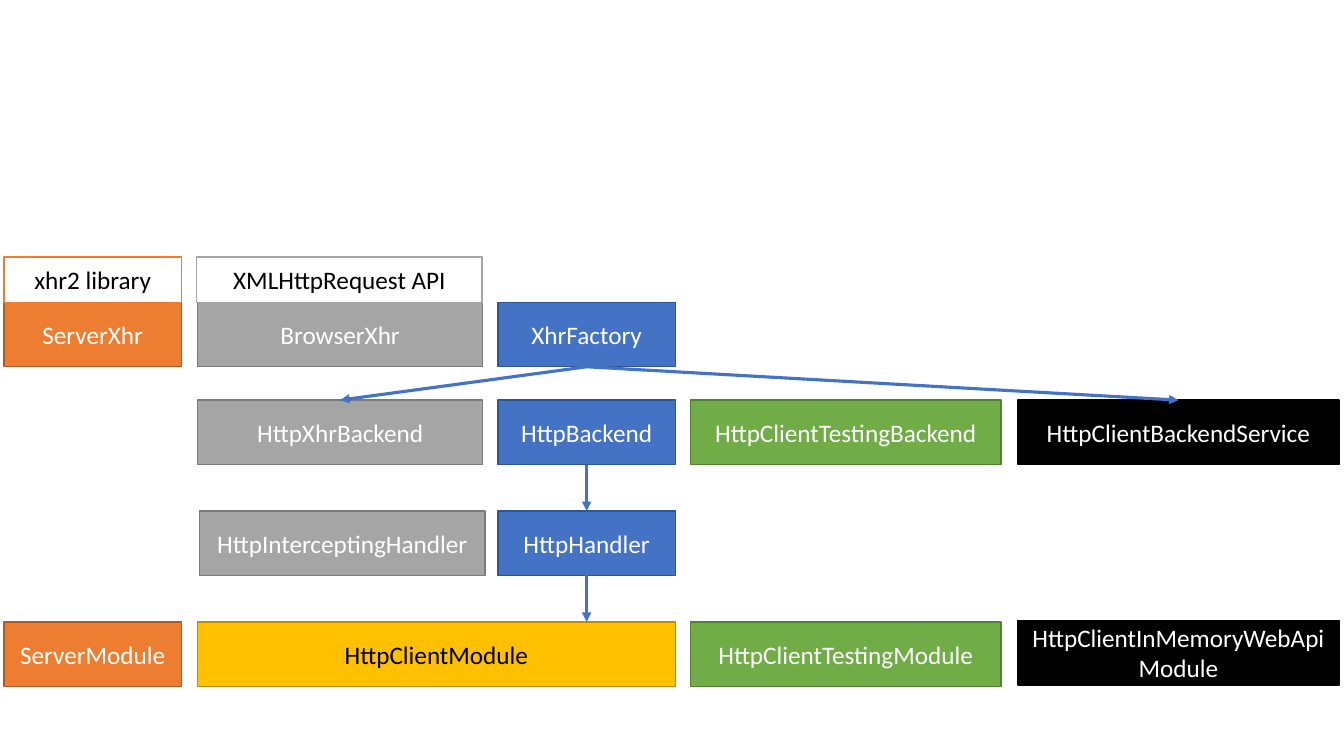
from dataclasses import dataclass

import lxml.etree
import pptx
import pptx.dml.color
import pptx.enum.shapes
import pptx.enum.text
import pptx.oxml.ns
import pptx.util

Pt = pptx.util.Pt
TOP, BOTTOM = 0, 2


@dataclass(frozen=True)
class Swatch:
    fill: str
    line: str
    text: str = "FFFFFF"


@dataclass(frozen=True)
class Theme:
    font: str = "Calibri"
    size: float = 18
    border: float = 1
    arrow: float = 2.25
    arrow_color: str = "4472C4"
    server: Swatch = Swatch("ED7D31", "AF5C24")
    server_library: Swatch = Swatch("FFFFFF", "ED7D31", "000000")
    browser: Swatch = Swatch("A5A5A5", "7A7A7A")
    browser_library: Swatch = Swatch("FFFFFF", "A5A5A5", "000000")
    core: Swatch = Swatch("4472C4", "325491")
    client: Swatch = Swatch("FFC000", "BD8E00", "000000")
    testing: Swatch = Swatch("70AD47", "538035")
    memory: Swatch = Swatch("000000", "000000")


THEME = Theme()

# Row name -> (top, height)
ROWS = {
    "library": (183.6, 32.4),
    "xhr": (216, 46),
    "backend": (285.8, 46),
    "handler": (365, 46),
    "module": (444.2, 46),
}


def rgb(color):
    return pptx.dml.color.RGBColor.from_string(color)


def write(frame, text, *, color, size=THEME.size, font=THEME.font):
    frame.word_wrap = True
    frame.vertical_anchor = pptx.enum.text.MSO_ANCHOR.MIDDLE
    paragraph = frame.paragraphs[0]
    paragraph.alignment = pptx.enum.text.PP_ALIGN.CENTER
    run = paragraph.add_run()
    run.text = text
    run.font.name = font
    run.font.size = Pt(size)
    run.font.color.rgb = rgb(color)


def add_block(slide, box, label, swatch):
    block = slide.shapes.add_shape(
        pptx.enum.shapes.MSO_SHAPE.RECTANGLE, *(Pt(length) for length in box))
    block.shadow.inherit = False
    block.fill.solid()
    block.fill.fore_color.rgb = rgb(swatch.fill)
    block.line.color.rgb = rgb(swatch.line)
    block.line.width = Pt(THEME.border)
    write(block.text_frame, label, color=swatch.text)
    return block


def add_column(slide, left, width, swatch, labels, library=None, shifts=None):
    """Stack one block per row; shifts maps a row to its (x, y) offset."""
    blocks = {}
    for row, label in labels.items():
        top, height = ROWS[row]
        dx, dy = (shifts or {}).get(row, (0, 0))
        blocks[row] = add_block(slide, (left + dx, top + dy, width, height), label,
                                library if row == "library" else swatch)
    return blocks


def add_arrow(slide, source, target=None, end=None):
    """Point from a block's bottom to a target's top, or to a free end."""
    x, y = end or (0, 0)
    arrow = slide.shapes.add_connector(
        pptx.enum.shapes.MSO_CONNECTOR.STRAIGHT, 0, 0, Pt(x), Pt(y))
    arrow.begin_connect(source, BOTTOM)
    if target is not None:
        arrow.end_connect(target, TOP)
    arrow.line.color.rgb = rgb(THEME.arrow_color)
    arrow.line.width = Pt(THEME.arrow)
    qn = pptx.oxml.ns.qn
    lxml.etree.SubElement(arrow.line._get_or_add_ln(), qn("a:tailEnd"), type="triangle")
    lxml.etree.SubElement(arrow._element.spPr, qn("a:effectLst"))


def add_http_architecture(slide):
    add_column(slide, 2.9, 126.7, THEME.server, {
        "xhr": "ServerXhr",
        "module": "ServerModule",
        "library": "xhr2 library",
    }, library=THEME.server_library)
    browser = add_column(slide, 141.1, 203.8, THEME.browser, {
        "xhr": "BrowserXhr",
        "backend": "HttpXhrBackend",
        "handler": "HttpInterceptingHandler",
        "library": "XMLHttpRequest API",
    }, library=THEME.browser_library, shifts={"handler": (1.5, 0), "library": (-0.5, 0)})
    core_left, core_width = 355.7, 126.7
    core = add_column(slide, core_left, core_width, THEME.core, {
        "xhr": "XhrFactory",
        "backend": "HttpBackend",
        "handler": "HttpHandler",
    })
    add_column(slide, 493.2, 221.8, THEME.testing, {
        "backend": "HttpClientTestingBackend",
        "module": "HttpClientTestingModule",
    })
    memory = add_column(slide, 727.2, 229.2, THEME.memory, {
        "backend": "HttpClientBackendService",
        "module": "HttpClientInMemoryWebApiModule",
    }, shifts={"module": (0, -1)})
    # The client module spans the browser and core columns.
    add_column(slide, 141.1, 341.3, THEME.client, {"module": "HttpClientModule"})

    add_arrow(slide, core["backend"], core["handler"])
    add_arrow(slide, core["xhr"], browser["backend"])
    add_arrow(slide, core["xhr"], memory["backend"])
    add_arrow(slide, core["handler"],
              end=(core_left + core_width / 2, ROWS["module"][0]))


def main():
    deck = pptx.Presentation()
    deck.slide_width, deck.slide_height = Pt(960), Pt(540)
    add_http_architecture(deck.slides.add_slide(deck.slide_layouts[6]))
    deck.save("out.pptx")


if __name__ == "__main__":
    main()
